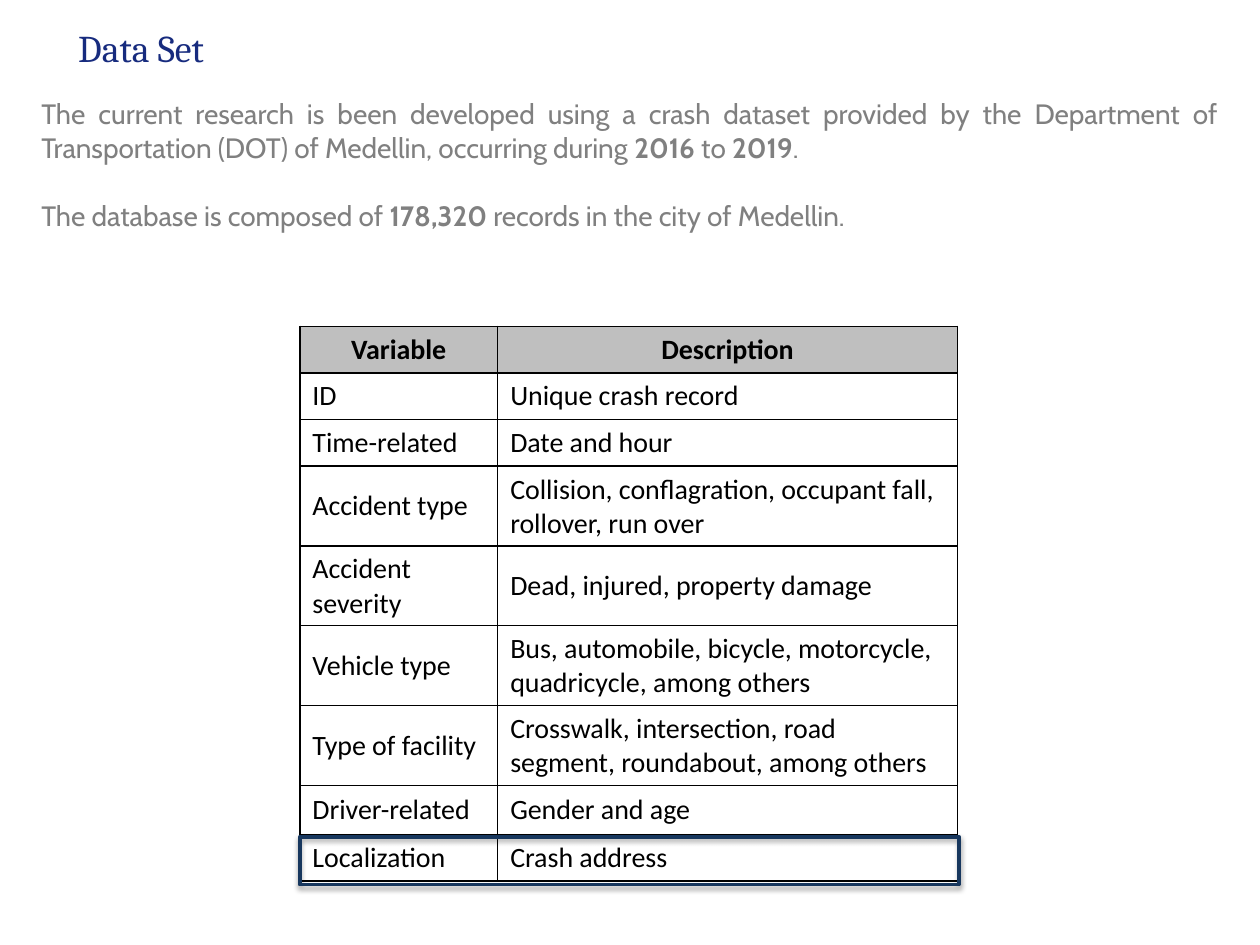
from lxml import etree
from pptx import Presentation
from pptx.dml.color import RGBColor
from pptx.enum.shapes import MSO_SHAPE as Shape
from pptx.enum.text import MSO_ANCHOR as Anchor, PP_ALIGN as Align
from pptx.oxml import parse_xml
from pptx.oxml.ns import nsdecls, qn
from pptx.util import Inches, Pt

NAVY = RGBColor(0x17, 0x2B, 0x7E)
FRAME = RGBColor(0x17, 0x37, 0x5E)
GRAY = RGBColor(0x80, 0x80, 0x80)
SILVER = RGBColor(0xBF, 0xBF, 0xBF)
BLACK = RGBColor(0, 0, 0)

# Each paragraph is a list of (text, bold) runs
INTRO = [
    [("The current research is been developed using a crash dataset provided by "
      "the Department of Transportation (DOT) of Medellin, occurring during ", False),
     ("2016", True), (" to ", False), ("2019", True), (".", False)],
    [("The database is composed of ", False), ("178,320", True),
     (" records in the city of Medellin.", False)],
]

# Variable, description, row height
ROWS = [
    ("Variable", "Description", 0.37),
    ("ID", "Unique crash record", 0.37),
    ("Time-related", "Date and hour", 0.37),
    ("Accident type", "Collision, conflagration, occupant fall, rollover, run over", 0.63),
    ("Accident severity", "Dead, injured, property damage", 0.63),
    ("Vehicle type", "Bus, automobile, bicycle, motorcycle, quadricycle, among others", 0.63),
    ("Type of facility", "Crosswalk, intersection, road segment, roundabout, among others", 0.63),
    ("Driver-related", "Gender and age", 0.39),
    ("Localization", "Crash address", 0.37),
]
WIDTHS = (1.57, 3.65)


def inches(*box):
    return [Inches(v) for v in box]


def style(font, name, size, color):
    font.name, font.size, font.color.rgb = name, Pt(size), color


def add_title(slide, box):
    title = slide.shapes.title
    title.left, title.top, title.width, title.height = inches(*box)
    frame = title.text_frame
    frame.text = "Data Set"
    frame.vertical_anchor = Anchor.MIDDLE
    para = frame.paragraphs[0]
    para.alignment = Align.LEFT
    style(para.font, "Cambria", 21.6, NAVY)


def add_intro(slide, box):
    frame = slide.shapes.add_textbox(*inches(*box)).text_frame
    frame.word_wrap = True
    for i, runs in enumerate(INTRO):
        para = frame.add_paragraph() if i else frame.paragraphs[0]
        para.alignment = Align.JUSTIFY
        if i:
            para.space_before = Pt(19.4)
        style(para.font, "Cabin", 16, GRAY)
        for text, bold in runs:
            run = para.add_run()
            run.text = text
            run.font.bold = bold
            style(run.font, "Cabin", 16, GRAY)


def add_borders(cell):
    props = cell._tc.get_or_add_tcPr()
    for i, side in enumerate(("lnL", "lnR", "lnT", "lnB")):
        line = parse_xml(f'<a:{side} {nsdecls("a")} w="{Pt(1)}"><a:solidFill>'
                         f'<a:srgbClr val="{BLACK}"/></a:solidFill></a:{side}>')
        props.insert(i, line)


def add_grid(slide, box):
    table = slide.shapes.add_table(len(ROWS), len(WIDTHS), *inches(*box)).table
    table.horz_banding = False
    for col, width in zip(table.columns, WIDTHS):
        col.width = Inches(width)
    for r, (*texts, height) in enumerate(ROWS):
        head = r == 0
        table.rows[r].height = Inches(height)
        for c, text in enumerate(texts):
            cell = table.cell(r, c)
            cell.text = text
            cell.vertical_anchor = Anchor.MIDDLE
            if head:
                cell.fill.solid()
                cell.fill.fore_color.rgb = SILVER
            else:
                cell.fill.background()
            add_borders(cell)
            para = cell.text_frame.paragraphs[0]
            para.alignment = Align.CENTER if head else Align.LEFT
            style(para.font, "Calibri", 16, BLACK)
            para.font.bold = head


def add_frame(slide, box):
    rect = slide.shapes.add_shape(Shape.RECTANGLE, *inches(*box))
    rect.fill.background()
    rect.line.color.rgb = FRAME
    rect.line.width = Pt(2.25)
    # Soft shadow straight below
    rect.shadow.inherit = False
    effects = rect._element.spPr.find(qn("a:effectLst"))
    shade = etree.SubElement(effects, qn("a:outerShdw"), blurRad=str(Pt(3.1)),
                             dist=str(Pt(1.8)), dir="5400000", rotWithShape="0")
    color = etree.SubElement(shade, qn("a:srgbClr"), val=str(BLACK))
    etree.SubElement(color, qn("a:alpha"), val="35000")


def main():
    deck = Presentation()
    deck.slide_width, deck.slide_height = inches(10, 7.5)
    slide = deck.slides.add_slide(deck.slide_layouts[5])
    add_title(slide, (0.52, 0.16, 7.23, 0.43))
    add_intro(slide, (0.23, 0.72, 9.54, 1.18))
    add_grid(slide, (2.38, 2.59, 5.23, 4.39))
    # Highlight on the last row
    add_frame(slide, (2.38, 6.64, 5.23, 0.38))
    deck.save("out.pptx")


if __name__ == "__main__":
    main()
